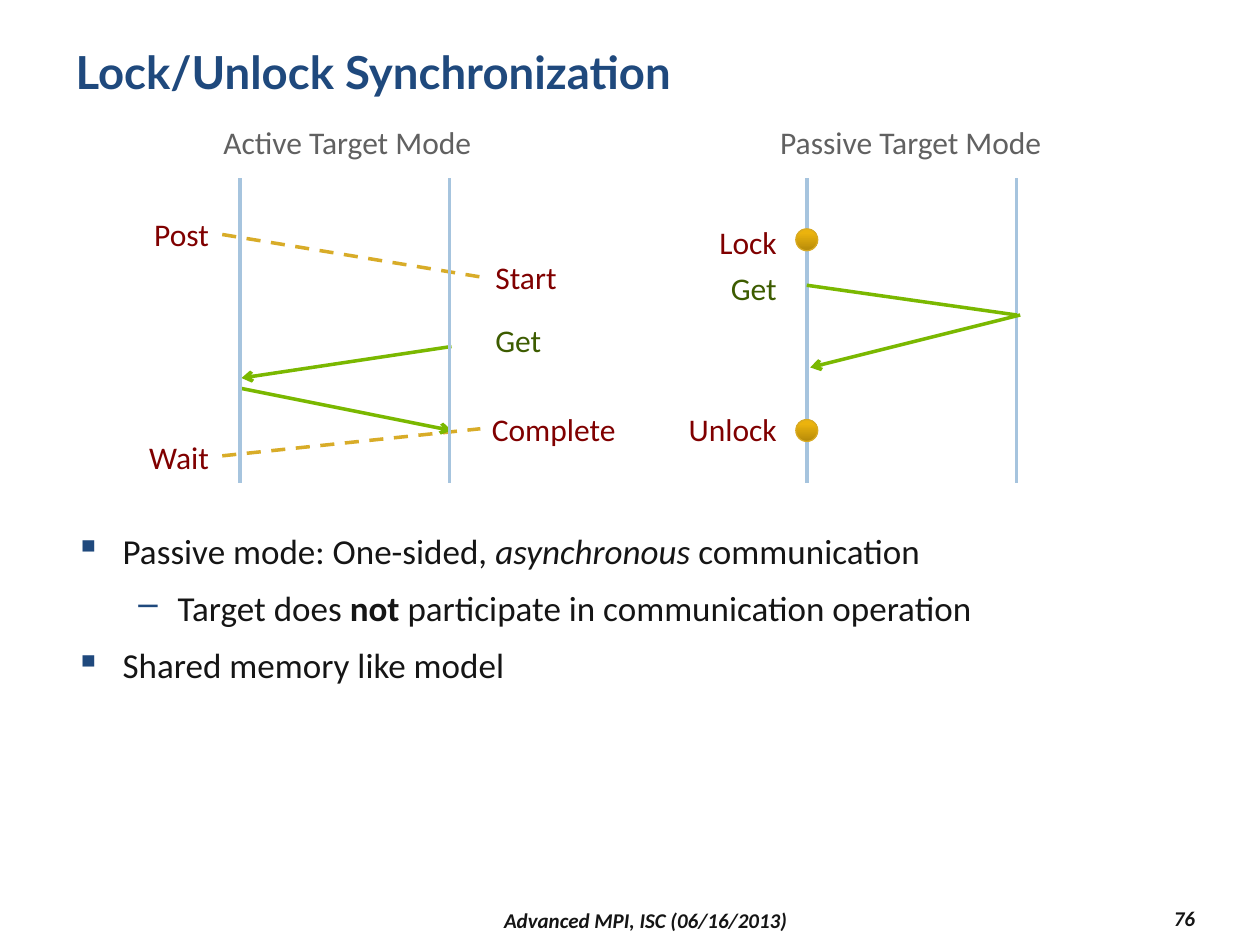
import pptx
import pptx.util
import pptx.dml.color
import pptx.enum.dml
import pptx.enum.shapes
import pptx.enum.text
import pptx.oxml
import pptx.oxml.ns
from lxml import etree

Pt = pptx.util.Pt
RGBColor = pptx.dml.color.RGBColor
ALIGN = pptx.enum.text.PP_ALIGN
ANCHOR = pptx.enum.text.MSO_ANCHOR

NAVY = RGBColor(0x1F, 0x49, 0x7D)
INK = RGBColor(0x15, 0x15, 0x15)
GRAY = RGBColor(0x61, 0x61, 0x61)
MAROON = RGBColor(0x80, 0x00, 0x00)
DARK_GREEN = RGBColor(0x3D, 0x5C, 0x00)
GREEN = RGBColor(0x7A, 0xB8, 0x00)
LANE_BLUE = RGBColor(0xA6, 0xC4, 0xDE)
GOLD = RGBColor(0xD8, 0xAC, 0x28)
DOT_EDGE = RGBColor(0xD8, 0xAA, 0x23)
DOT_DARK = RGBColor(0xB5, 0x8A, 0x0A)
DOT_BRIGHT = RGBColor(0xEB, 0xB3, 0x0D)

TITLE = "Lock/Unlock Synchronization"
ACTIVE_X, PASSIVE_X, LANE_GAP = 137, 461, 120
LANE_TOP, LANE_BOTTOM = 102, 276
DOT_SIZE = 12.5
DOT_CENTERS = [137, 246]

HEADINGS = [("Active Target Mode", 119.5, 158), ("Passive Target Mode", 437.5, 166)]
LABELS = [
    ("Post", 80.5, 119.5, 46, MAROON, ALIGN.RIGHT),
    ("Wait", 77.5, 246.5, 49, MAROON, ALIGN.RIGHT),
    ("Start", 276, 144, 50, MAROON, ALIGN.LEFT),
    ("Get", 276, 180, 41, DARK_GREEN, ALIGN.LEFT),
    ("Complete", 274, 230.5, 86, MAROON, ALIGN.LEFT),
    ("Lock", 403, 124, 48, MAROON, ALIGN.RIGHT),
    ("Get", 410, 150, 41, DARK_GREEN, ALIGN.RIGHT),
    ("Unlock", 385.5, 230.5, 65.5, MAROON, ALIGN.RIGHT),
]
MESSAGES = [
    ((127, 134), (276, 158.5), GOLD, True, False),
    ((127, 260.5), (274.5, 245), GOLD, True, False),
    ((258, 198), (138, 216), GREEN, False, True),
    ((138, 222), (258, 246), GREEN, False, True),
    ((461, 163), (581, 180), GREEN, False, False),
    ((583, 180), (463, 210), GREEN, False, True),
]
BULLETS = [
    (0, [("Passive mode: One-sided, ", ""), ("asynchronous", "italic"), (" communication", "")]),
    (1, [("Target does ", ""), ("not ", "bold"), ("participate in communication operation", "")]),
    (0, [("Shared memory like model", "")]),
]
BULLET_STYLES = [("▪", 27, 27), ("–", 58.5, 22.5)]
FOOTERS = [
    ("76", 612, 515, 78, ALIGN.RIGHT),
    ("Advanced MPI, ISC (06/16/2013)", 156, 516, 426, ALIGN.CENTER),
]


def add_element(parent, tag, **attributes):
    return etree.SubElement(parent, pptx.oxml.ns.qn(tag), attributes)


def format_font(font, size, color, name="Calibri", bold=False, italic=False):
    font.name, font.size, font.bold, font.italic = name, Pt(size), bold, italic
    font.color.rgb = color


def add_text(page, text, left, top, width, height, size, color, align, heavy=False):
    box = page.shapes.add_textbox(Pt(left), Pt(top), Pt(width), Pt(height))
    frame = box.text_frame
    frame.word_wrap = heavy
    frame.vertical_anchor = ANCHOR.MIDDLE if heavy else ANCHOR.TOP
    frame.text = text
    paragraph = frame.paragraphs[0]
    paragraph.alignment = align
    format_font(paragraph.runs[0].font, size, color, bold=heavy, italic=heavy)


def add_line(page, start, end, color, dashed=False, arrow=False):
    line = page.shapes.add_connector(
        pptx.enum.shapes.MSO_CONNECTOR.STRAIGHT, *[Pt(value) for value in start + end])
    line.line.color.rgb = color
    line.line.width = Pt(2)
    if dashed:
        line.line.dash_style = pptx.enum.dml.MSO_LINE.DASH
    if arrow:
        add_element(line.line._get_or_add_ln(), "a:tailEnd", type="arrow")
    add_element(line._element.spPr, "a:effectLst")


def add_lanes(page, left):
    for x in (left, left + LANE_GAP):
        add_line(page, (x, LANE_TOP), (x, LANE_BOTTOM), LANE_BLUE)


def add_dot(page, center_y):
    dot = page.shapes.add_shape(
        pptx.enum.shapes.MSO_SHAPE.OVAL, Pt(PASSIVE_X - DOT_SIZE / 2),
        Pt(center_y - DOT_SIZE / 2), Pt(DOT_SIZE), Pt(DOT_SIZE))
    dot.shadow.inherit = False
    dot.fill.gradient()
    dot.fill.gradient_angle = 90
    dark, bright = dot.fill.gradient_stops
    dark.color.rgb = DOT_DARK
    bright.color.rgb = DOT_BRIGHT
    bright.position = 0.8
    dot.line.color.rgb = DOT_EDGE
    dot.line.width = Pt(0.75)


def add_bullets(page):
    frame = page.shapes.add_textbox(Pt(36), Pt(294), Pt(648), Pt(198)).text_frame
    frame.word_wrap = True
    for index, (level, spans) in enumerate(BULLETS):
        paragraph = frame.add_paragraph() if index else frame.paragraphs[0]
        paragraph.level = level
        paragraph.line_spacing = 1.2
        if index:
            paragraph.space_before = Pt(4)
        mark, margin, hanging = BULLET_STYLES[level]
        properties = paragraph._p.get_or_add_pPr()
        properties.set("marL", str(Pt(margin)))
        properties.set("indent", str(-Pt(hanging)))
        add_element(add_element(properties, "a:buClr"), "a:srgbClr", val=str(NAVY))
        add_element(properties, "a:buChar", char=mark)
        for text, style in spans:
            span = paragraph.add_run()
            span.text = text
            format_font(span.font, 20, INK, bold=style == "bold", italic=style == "italic")


def main():
    deck = pptx.Presentation()
    deck.slide_width, deck.slide_height = Pt(720), Pt(540)
    page = deck.slides.add_slide(deck.slide_layouts[5])

    title = page.shapes.title
    title.left, title.top, title.width, title.height = Pt(36), Pt(21.5), Pt(648), Pt(62.5)
    title.text_frame.text = TITLE
    title.text_frame.vertical_anchor = ANCHOR.TOP
    title.text_frame.paragraphs[0].alignment = ALIGN.LEFT
    format_font(title.text_frame.paragraphs[0].runs[0].font, 26, NAVY, "Lato", bold=True)

    add_bullets(page)
    for text, left, width in HEADINGS:
        add_text(page, text, left, 66.5, width, 29, 18, GRAY, ALIGN.CENTER)
    add_lanes(page, PASSIVE_X)
    for message in MESSAGES:
        add_line(page, *message)
    add_lanes(page, ACTIVE_X)
    for center_y in DOT_CENTERS:
        add_dot(page, center_y)
    for text, left, top, width, color, align in LABELS:
        add_text(page, text, left, top, width, 29, 18, color, align)
    for text, left, top, width, align in FOOTERS:
        add_text(page, text, left, top, width, 19.5, 12, INK, align, heavy=True)
    deck.save("out.pptx")


if __name__ == "__main__":
    main()
